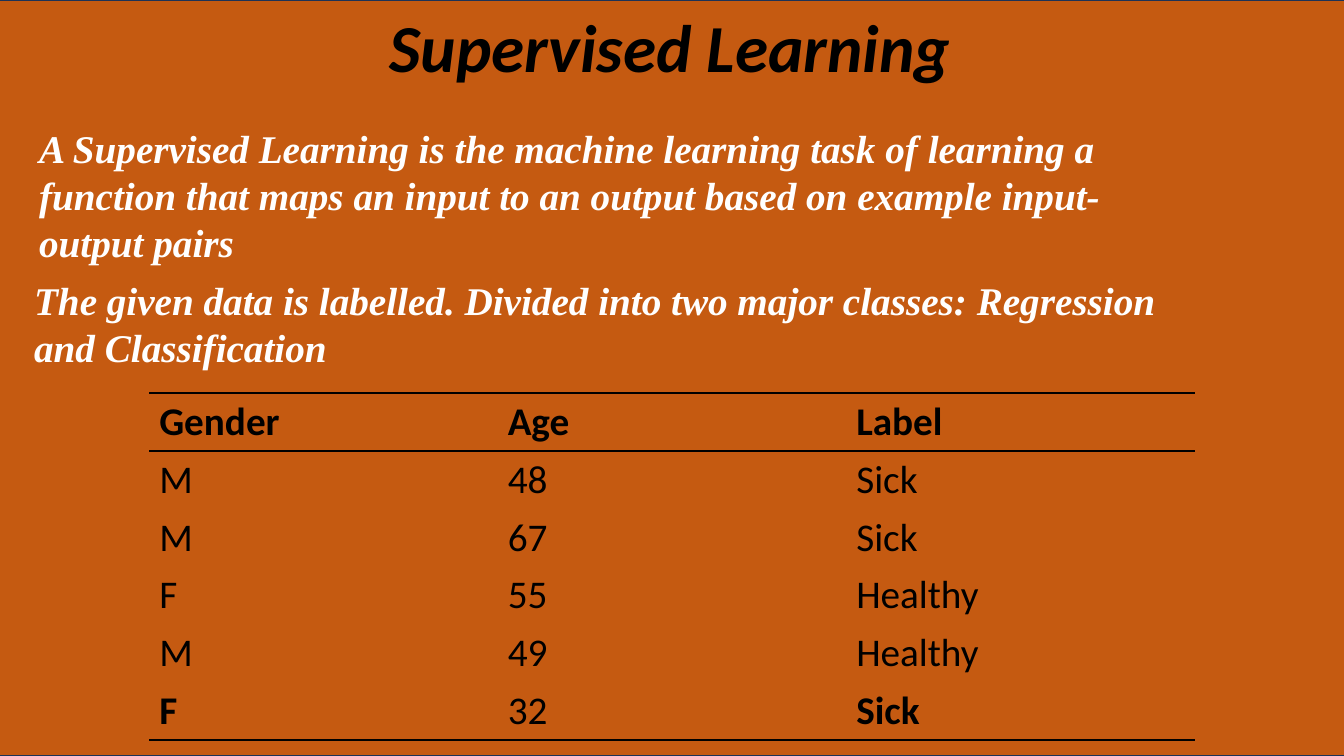
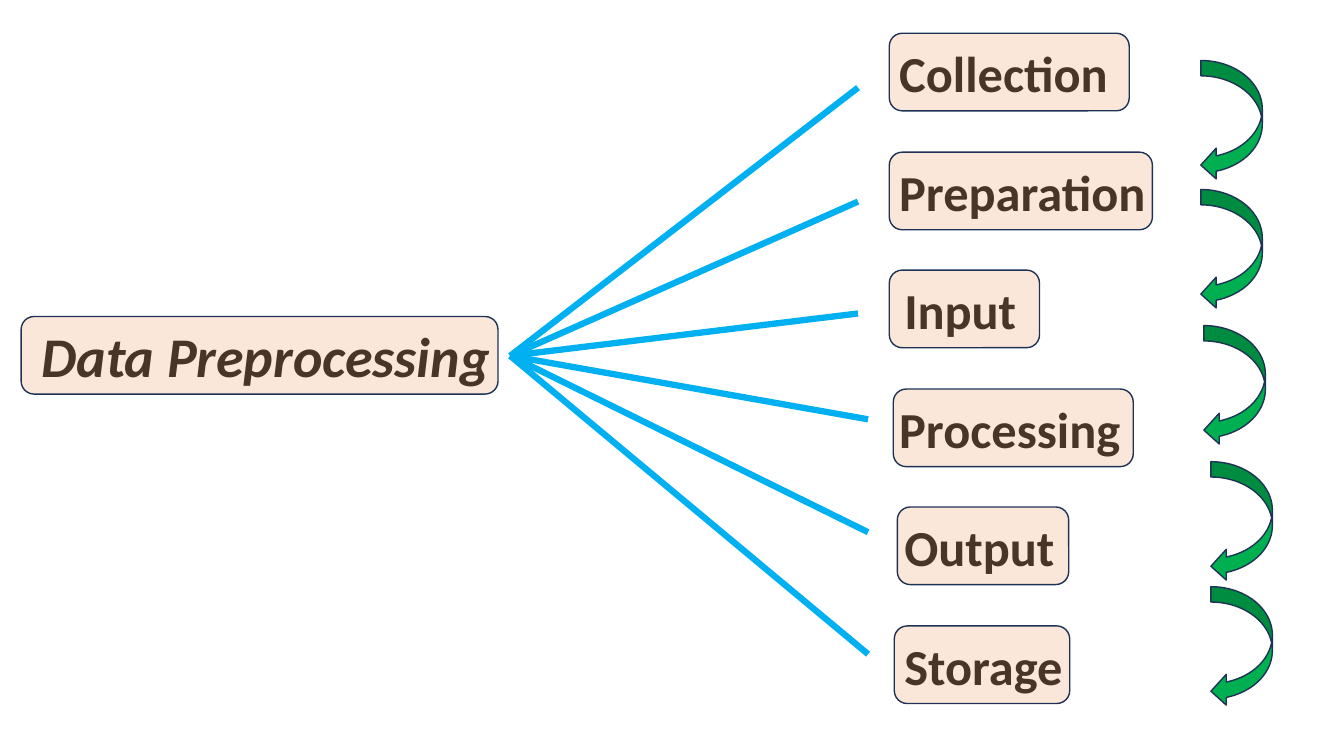
from dataclasses import dataclass
from typing import NamedTuple

from lxml import etree
from pptx import Presentation
from pptx import util as u
from pptx.dml.color import RGBColor
from pptx.enum import shapes, text
from pptx.oxml import ns

EMU_PER_PX = 9144  # 100 px to the inch


@dataclass(frozen=True)
class Theme:
    rust: str = "C55A11"
    peach: str = "F4B183"
    green: str = "00B050"
    sky: str = "00B0F0"
    navy: str = "1E3256"
    black: str = "000000"
    white: str = "FFFFFF"
    heading_font: str = "Calibri"
    body_font: str = "Times New Roman"
    title_size: int = 48
    root_size: int = 40
    step_size: int = 36
    body_size: int = 28
    outline: float = 1
    rule: float = 2
    branch: float = 4.5
    peach_opacity: int = 30


THEME = Theme()


class Box(NamedTuple):
    left: int
    top: int
    width: int
    height: int

    def emu(self) -> list[int]:
        return [px(value) for value in self]


class Step(NamedTuple):
    label: str
    text_left: int
    text_width: int
    frame_left: int
    frame_width: int
    branch_end: tuple[int, int]


def px(value: int) -> u.Emu:
    return u.Emu(value * EMU_PER_PX)


# Shared drawing functions
def write(frame, content: str, size: int, **extra) -> None:
    """Put one formatted paragraph into a text frame."""
    frame.text = content
    font = frame.paragraphs[0].font
    look = {"name": THEME.heading_font, "size": u.Pt(size), "bold": True}
    color = extra.pop("color", THEME.black)
    for key, value in (look | extra).items():
        setattr(font, key, value)
    font.color.rgb = RGBColor.from_string(color)


def add_title(slide, content: str, box: Box, size: int, wrap: bool) -> None:
    title = slide.shapes.title
    title.left, title.top, title.width, title.height = box.emu()
    write(title.text_frame, content, size, italic=True)
    layout = {"word_wrap": wrap, "vertical_anchor": text.MSO_ANCHOR.TOP,
              "auto_size": text.MSO_AUTO_SIZE.NONE}
    for key, value in layout.items():
        setattr(title.text_frame, key, value)
    title.text_frame.paragraphs[0].alignment = text.PP_ALIGN.CENTER


def add_text(slide, content: str, box: Box, size: int, **extra) -> None:
    frame = slide.shapes.add_textbox(*box.emu()).text_frame
    frame.word_wrap = True
    write(frame, content, size, **extra)


def add_outlined(slide, preset, box: Box, fill: str, opacity: int = 100):
    shape = slide.shapes.add_shape(preset, *box.emu())
    shape.shadow.inherit = False
    shape.fill.solid()
    shape.fill.fore_color.rgb = RGBColor.from_string(fill)
    shape.line.color.rgb = RGBColor.from_string(THEME.navy)
    shape.line.width = u.Pt(THEME.outline)
    if opacity < 100:
        color = shape.element.spPr.find(ns.qn("a:solidFill"))[0]
        etree.SubElement(color, ns.qn("a:alpha"), val=str(opacity * 1000))
    return shape


def add_frame(slide, box: Box) -> None:
    add_outlined(slide, shapes.MSO_SHAPE.ROUNDED_RECTANGLE, box,
                 THEME.peach, THEME.peach_opacity)


def add_branch(slide, start: tuple[int, int], end: tuple[int, int]) -> None:
    branch = slide.shapes.add_connector(
        shapes.MSO_CONNECTOR.STRAIGHT, *(px(value) for value in start + end))
    branch.line.color.rgb = RGBColor.from_string(THEME.sky)
    branch.line.width = u.Pt(THEME.branch)
    etree.SubElement(branch.element.spPr, ns.qn("a:effectLst"))


def set_borders(cell, ruled: str) -> None:
    """Rule the named edges (T, B) of a cell and clear the others."""
    props = cell._tc.get_or_add_tcPr()
    for edge in "LRTB":
        line = etree.SubElement(props, ns.qn(f"a:ln{edge}"),
                                w=str(u.Pt(THEME.rule)))
        if edge in ruled:
            fill = etree.SubElement(line, ns.qn("a:solidFill"))
            etree.SubElement(fill, ns.qn("a:srgbClr"), val=THEME.black)
        else:
            etree.SubElement(line, ns.qn("a:noFill"))


# Slide 1: definition and labelled example data
DEFINITIONS = [
    ("A Supervised Learning is the machine learning task of learning a "
     "function that maps an input to an output based on example input-output "
     "pairs", Box(29, 118, 1147, 151)),
    ("The given data is labelled. Divided into two major classes: Regression "
     "and Classification", Box(24, 269, 1147, 104)),
]
PATIENTS = [
    ("Gender", "Age", "Label"),
    ("M", "48", "Sick"),
    ("M", "67", "Sick"),
    ("F", "55", "Healthy"),
    ("M", "49", "Healthy"),
    ("F", "32", "Sick"),
]
BOLD_CELLS = {(0, 0), (0, 1), (0, 2), (5, 0), (5, 2)}
NO_STYLE_NO_GRID = "{2D5ABB26-0587-4C30-8999-92F81FD0307C}"


def add_patient_table(slide, box: Box) -> None:
    last = len(PATIENTS) - 1
    table = slide.shapes.add_table(
        len(PATIENTS), len(PATIENTS[0]), *box.emu()).table
    table.horz_banding = False
    table._tbl.tblPr.find(ns.qn("a:tableStyleId")).text = NO_STYLE_NO_GRID
    for r, patient in enumerate(PATIENTS):
        for c, value in enumerate(patient):
            cell = table.cell(r, c)
            write(cell.text_frame, value, THEME.body_size,
                  bold=(r, c) in BOLD_CELLS)
            set_borders(cell, "T" * (r in (0, 1)) + "B" * (r in (0, last)))
            cell.fill.background()


def build_supervised_learning(slide) -> None:
    add_title(slide, "Supervised Learning", Box(373, 0, 583, 91),
              THEME.title_size, wrap=False)
    backdrop = add_outlined(slide, shapes.MSO_SHAPE.RECTANGLE,
                            Box(-4, 0, 1338, 750), THEME.rust)
    slide.shapes.title.element.addprevious(backdrop.element)
    for content, box in DEFINITIONS:
        add_text(slide, content, box, THEME.body_size, italic=True,
                 name=THEME.body_font, color=THEME.white)
    add_patient_table(slide, Box(148, 390, 1037, 344))


# Slide 2: preprocessing steps branching from one root
STEPS = [
    Step("Collection", 882, 238, 882, 238, (851, 87)),
    Step("Preparation", 882, 277, 882, 261, (851, 200)),
    Step("Input", 887, 238, 882, 149, (851, 311)),
    Step("Processing", 882, 248, 886, 238, (861, 416)),
    Step("Output", 887, 238, 890, 170, (861, 528)),
    Step("Storage", 887, 238, 887, 174, (861, 649)),
]
FIRST_FRAME_TOP, LAST_FRAME_TOP = 33, 621
FRAME_HEIGHT, TEXT_HEIGHT, TEXT_DROP = 77, 71, 4
ROOT_POINT = (506, 353)
ARROW_CORNERS = [(1191, 60), (1191, 188), (1194, 323), (1201, 458), (1201, 582)]


def build_preprocessing(slide) -> None:
    add_title(slide, "Data Preprocessing", Box(21, 314, 485, 77),
              THEME.root_size, wrap=True)
    add_frame(slide, Box(21, 314, 473, FRAME_HEIGHT))

    pitch = (LAST_FRAME_TOP - FIRST_FRAME_TOP) / (len(STEPS) - 1)
    for i, step in enumerate(STEPS):
        top = round(FIRST_FRAME_TOP + i * pitch)
        add_text(slide, step.label,
                 Box(step.text_left, top + TEXT_DROP, step.text_width,
                     TEXT_HEIGHT), THEME.step_size)
        add_frame(slide, Box(step.frame_left, top, step.frame_width,
                             FRAME_HEIGHT))
        add_branch(slide, ROOT_POINT, step.branch_end)

    for left, top in ARROW_CORNERS:
        add_outlined(slide, shapes.MSO_SHAPE.CURVED_LEFT_ARROW,
                     Box(left, top, 61, 119), THEME.green)


def main() -> None:
    deck = Presentation()
    deck.slide_width, deck.slide_height = px(1333), px(750)
    title_only = deck.slide_layouts[5]
    for build in (build_supervised_learning, build_preprocessing):
        build(deck.slides.add_slide(title_only))
    deck.save("out.pptx")


if __name__ == "__main__":
    main()
